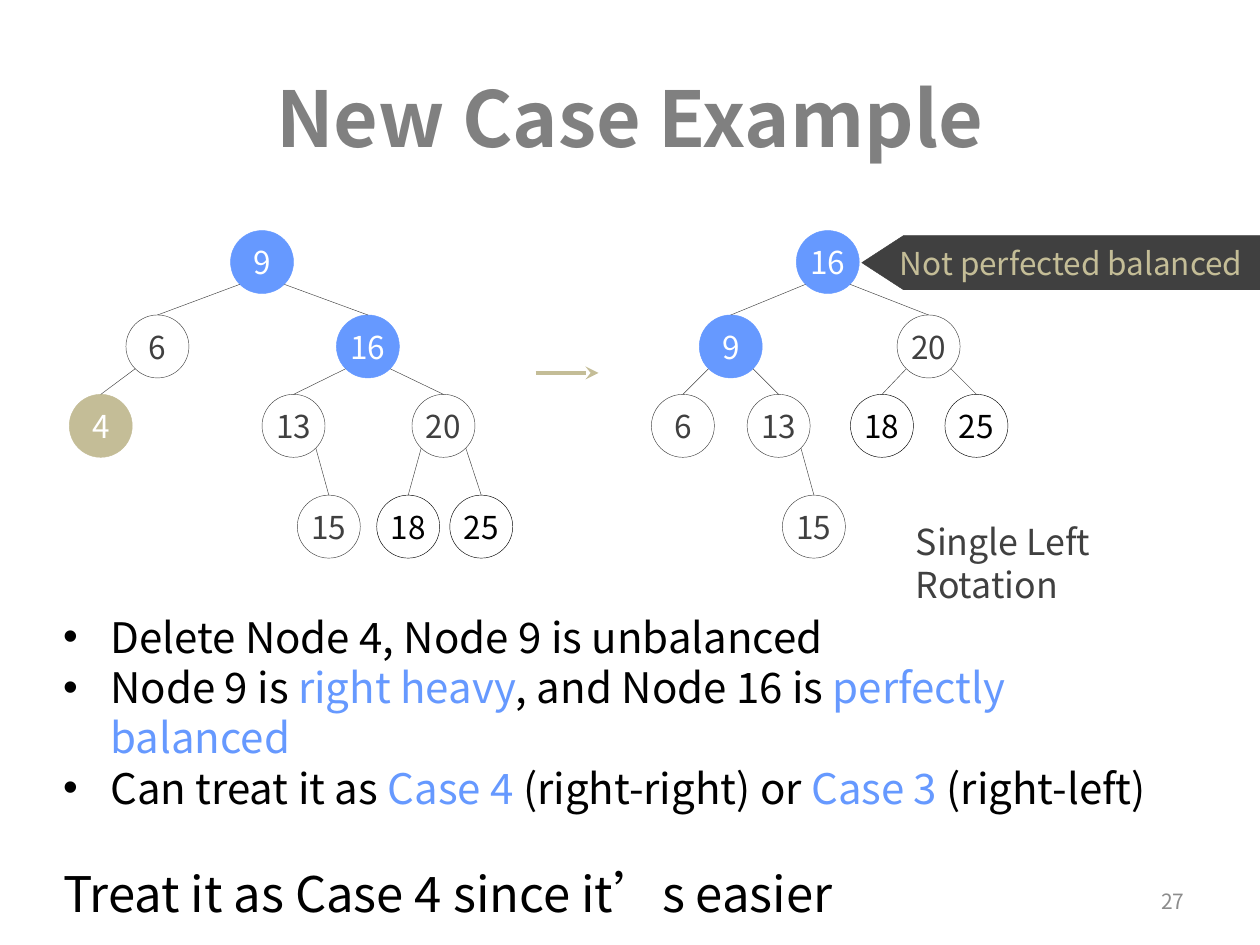
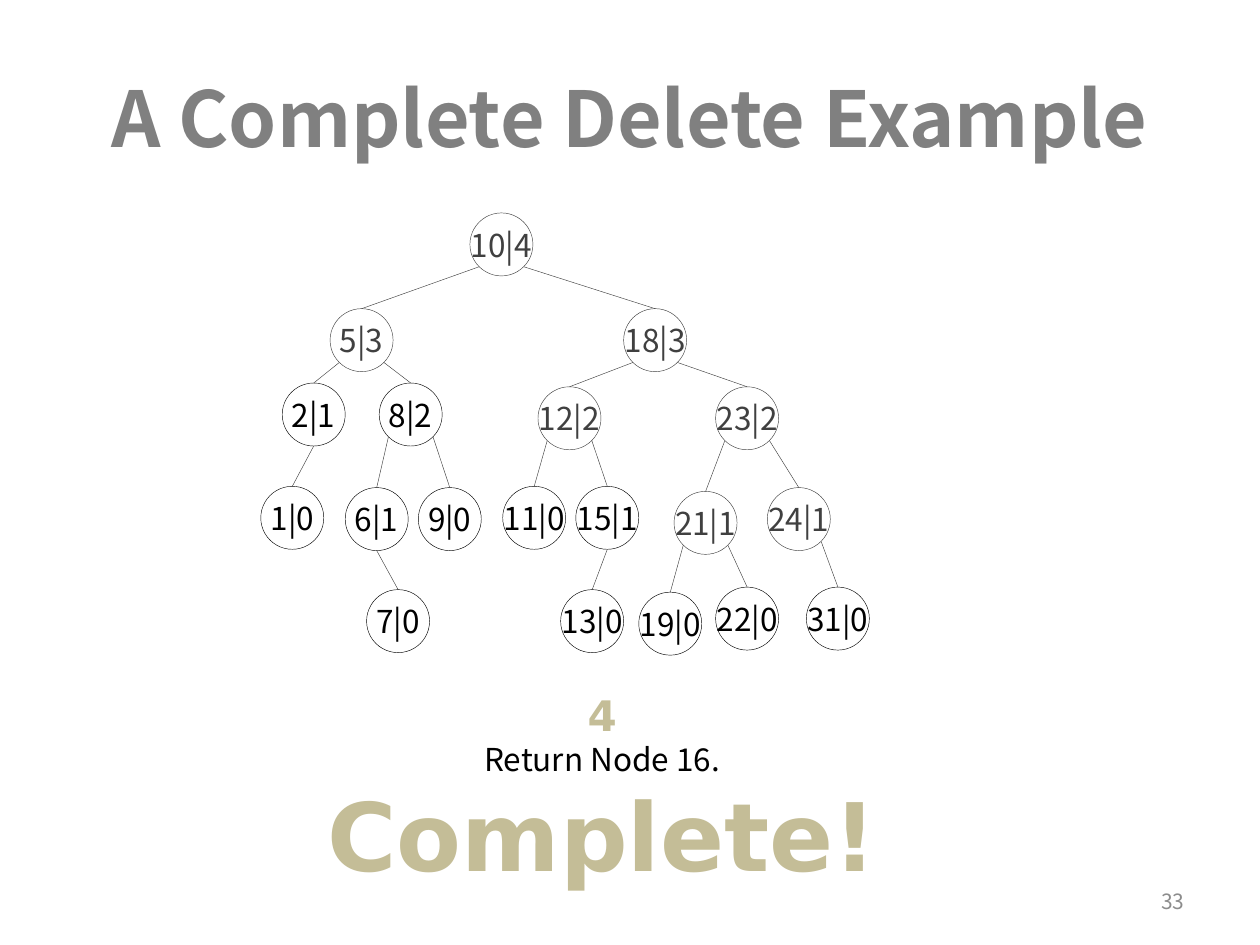
from dataclasses import dataclass
from lxml.etree import SubElement
from pptx import Presentation
from pptx.dml.color import RGBColor
from pptx.enum.shapes import MSO_CONNECTOR, MSO_SHAPE
from pptx.enum.text import MSO_ANCHOR, MSO_AUTO_SIZE, PP_ALIGN
from pptx.oxml.ns import qn
from pptx.util import Inches, Pt


@dataclass(frozen=True)
class Theme:
    font: str = "Noto Sans CJK SC"
    accent_font: str = "DejaVu Sans"
    black: str = "000000"
    dark: str = "404040"
    grey: str = "808080"
    pale: str = "8C8C8C"
    white: str = "FFFFFF"
    blue: str = "6699FF"
    sand: str = "C4BD97"
    title: float = 44
    shout: float = 54
    conclusion: float = 28
    body: float = 24
    caption: float = 20.4
    node: float = 18
    footer: float = 12
    hairline: float = 0.25


THEME = Theme()

# Node styles: fill, line and text colour
STYLES = {
    "plain": (None, THEME.dark, THEME.dark),
    "leaf": (None, THEME.black, THEME.black),
    "pivot": (THEME.blue, THEME.blue, THEME.white),
    "deleted": (THEME.sand, THEME.sand, THEME.white),
}

# Where an edge leaves its parent, as fractions of the node size
NODE_SIZE = 0.5
EXITS = {"left": (0.146, 0.854), "right": (0.854, 0.854), "bottom": (0.5, 1)}

# Trees: label, left, top, style, parent label, exit from the parent
BEFORE = [
    ("9", 1.83, 1.83, "pivot", None, None),
    ("6", 1, 2.5, "plain", "9", "left"),
    ("16", 2.67, 2.5, "pivot", "9", "right"),
    ("4", 0.55, 3.13, "deleted", "6", "left"),
    ("13", 2.08, 3.13, "plain", "16", "left"),
    ("20", 3.27, 3.13, "plain", "16", "right"),
    ("15", 2.36, 3.93, "plain", "13", "right"),
    ("18", 2.99, 3.93, "leaf", "20", "left"),
    ("25", 3.57, 3.93, "leaf", "20", "right"),
]
AFTER = [
    ("16", 6.32, 1.83, "pivot", None, None),
    ("9", 5.55, 2.5, "pivot", "16", "left"),
    ("20", 7.12, 2.5, "plain", "16", "right"),
    ("6", 5.17, 3.13, "plain", "9", "left"),
    ("13", 5.93, 3.13, "plain", "9", "right"),
    ("18", 6.75, 3.13, "leaf", "20", "left"),
    ("25", 7.5, 3.13, "leaf", "20", "right"),
    ("15", 6.21, 3.93, "plain", "13", "right"),
]
COMPLETE = [
    ("10|4", 3.73, 1.69, "plain", None, None),
    ("5|3", 2.62, 2.45, "plain", "10|4", "left"),
    ("18|3", 4.95, 2.45, "plain", "10|4", "right"),
    ("2|1", 2.24, 3.04, "leaf", "5|3", "left"),
    ("8|2", 3.01, 3.04, "leaf", "5|3", "right"),
    ("12|2", 4.27, 3.07, "plain", "18|3", "left"),
    ("23|2", 5.68, 3.07, "plain", "18|3", "right"),
    ("1|0", 2.07, 3.86, "leaf", "2|1", "bottom"),
    ("6|1", 2.74, 3.87, "leaf", "8|2", "left"),
    ("9|0", 3.32, 3.87, "leaf", "8|2", "right"),
    ("11|0", 3.99, 3.86, "leaf", "12|2", "left"),
    ("15|1", 4.57, 3.86, "leaf", "12|2", "right"),
    ("21|1", 5.35, 3.9, "plain", "23|2", "left"),
    ("24|1", 6.09, 3.87, "plain", "23|2", "right"),
    ("7|0", 2.91, 4.68, "leaf", "6|1", "bottom"),
    ("13|0", 4.45, 4.68, "leaf", "15|1", "bottom"),
    ("19|0", 5.07, 4.7, "leaf", "21|1", "left"),
    ("22|0", 5.68, 4.66, "leaf", "21|1", "right"),
    ("31|0", 6.4, 4.66, "leaf", "24|1", "right"),
]

# Text: each paragraph is a list of (words, colour) spans
BULLETS = [
    [("Delete Node 4, Node 9 is unbalanced", THEME.black)],
    [("Node 9 is ", THEME.black), ("right heavy", THEME.blue),
     (", and Node 16 is ", THEME.black), ("perfectly balanced", THEME.blue)],
    [("Can treat it as ", THEME.black), ("Case 4 ", THEME.blue),
     ("(right-right) or ", THEME.black), ("Case 3 ", THEME.blue),
     ("(right-left)", THEME.black)],
]
CONCLUSION = "Treat it as Case 4 since it’s easier"


def rgb(colour):
    return RGBColor.from_string(colour)


def add_text(para, text, size=THEME.body, colour=THEME.black,
             font=THEME.font, bold=False, align=None):
    """Append one formatted span to a paragraph."""
    span = para.add_run()
    span.text = text
    span.font.name, span.font.size, span.font.bold = font, Pt(size), bold
    span.font.color.rgb = rgb(colour)
    if align is not None:
        para.alignment = align


def place(shape, left, top, width, height):
    shape.left, shape.top = Inches(left), Inches(top)
    shape.width, shape.height = Inches(width), Inches(height)


def add_box(page, left, top, width, height, anchor=MSO_ANCHOR.TOP):
    box = page.shapes.add_textbox(*map(Inches, (left, top, width, height)))
    box.text_frame.word_wrap = True
    box.text_frame.vertical_anchor = anchor
    return box.text_frame


def add_label_shape(page, kind, area, text, fill, line, colour):
    """Draw a flat preset shape with a centred, unwrapped label."""
    shape = page.shapes.add_shape(kind, *map(Inches, area))
    shape.shadow.inherit = False
    if fill:
        shape.fill.solid()
        shape.fill.fore_color.rgb = rgb(fill)
    else:
        shape.fill.background()
    shape.line.color.rgb = rgb(line)
    shape.line.width = Pt(THEME.hairline)
    frame = shape.text_frame
    frame.margin_left = frame.margin_right = 0
    frame.margin_top = frame.margin_bottom = 0
    frame.word_wrap = False
    frame.vertical_anchor = MSO_ANCHOR.MIDDLE
    add_text(frame.paragraphs[0], text, size=THEME.node, colour=colour,
             align=PP_ALIGN.CENTER)
    return shape


def add_line(page, start, end, colour=THEME.dark, width=THEME.hairline):
    line = page.shapes.add_connector(
        MSO_CONNECTOR.STRAIGHT, *map(Inches, (*start, *end)))
    line.line.color.rgb = rgb(colour)
    line.line.width = Pt(width)
    SubElement(line._element.spPr, qn("a:effectLst"))
    return line


def add_tree(page, tree):
    places = {label: (left, top) for label, left, top, *_ in tree}
    for label, left, top, style, parent, side in tree:
        area = (left, top, NODE_SIZE, NODE_SIZE)
        node = add_label_shape(page, MSO_SHAPE.OVAL, area, label, *STYLES[style])
        if parent:
            exit_point = [corner + share * NODE_SIZE for corner, share
                          in zip(places[parent], EXITS[side])]
            edge = add_line(page, (left + NODE_SIZE / 2, top), exit_point)
            edge.begin_connect(node, 0)


def add_page(deck, layout, title, number):
    """Start a slide with the shared title and page number."""
    page = deck.slides.add_slide(deck.slide_layouts[layout])
    place(page.shapes.title, 0.5, 0.3, 9, 1.25)
    frame = page.shapes.title.text_frame
    frame.auto_size = MSO_AUTO_SIZE.NONE
    frame.vertical_anchor = MSO_ANCHOR.MIDDLE
    add_text(frame.paragraphs[0], title, size=THEME.title, colour=THEME.grey,
             bold=True, align=PP_ALIGN.CENTER)
    footer = add_box(page, 7.17, 6.95, 2.33, 0.4, MSO_ANCHOR.MIDDLE)
    add_text(footer.paragraphs[0], number, size=THEME.footer,
             colour=THEME.pale, align=PP_ALIGN.RIGHT)
    return page


def add_bullets(page):
    body = page.placeholders[1]
    place(body, 0.4, 4.8, 9.07, 2.19)
    frame = body.text_frame
    frame.auto_size = MSO_AUTO_SIZE.NONE
    for index, spans in enumerate(BULLETS):
        para = frame.add_paragraph() if index else frame.paragraphs[0]
        para.space_before = Pt(0)
        for text, colour in spans:
            add_text(para, text, colour=colour)
    # The conclusion stands apart, without a bullet
    para = frame.add_paragraph()
    para.space_before = Pt(29)
    properties = para._p.get_or_add_pPr()
    properties.set("marL", "0")
    properties.set("indent", "0")
    SubElement(properties, qn("a:buNone"))
    add_text(para, CONCLUSION, size=THEME.conclusion)


def build_rotation_page(deck):
    page = add_page(deck, 1, "New Case Example", "27")
    add_bullets(page)
    add_tree(page, BEFORE)
    add_tree(page, AFTER)
    # Arrow between the two trees
    arrow = add_line(page, (4.25, 2.96), (4.75, 2.96), THEME.sand, 2.5)
    SubElement(arrow.line._get_or_add_ln(), qn("a:tailEnd"), type="stealth")
    # Caption and the flag that points at the root
    caption = add_box(page, 7.17, 4.08, 2.74, 0.68).paragraphs[0]
    add_text(caption, "Single Left Rotation", size=THEME.caption, colour=THEME.dark)
    flag = add_label_shape(page, MSO_SHAPE.PENTAGON, (6.84, 1.87, 3.16, 0.43),
                           "Not perfected balanced", THEME.dark, THEME.dark,
                           THEME.sand)
    flag.adjustments[0] = 0.77
    flag._element.spPr.xfrm.set("flipH", "1")


def build_complete_page(deck):
    page = add_page(deck, 5, "A Complete Delete Example", "33")
    add_tree(page, COMPLETE)
    # Closing remark
    frame = add_box(page, 2.08, 5.42, 5.4, 1.72)
    accent = dict(colour=THEME.sand, font=THEME.accent_font, bold=True,
                  align=PP_ALIGN.CENTER)
    add_text(frame.paragraphs[0], "4", **accent)
    para = frame.add_paragraph()
    add_text(para, "Return Node 16. ", size=THEME.node)
    add_text(para, "Complete!", size=THEME.shout, **accent)


def main():
    deck = Presentation()
    deck.slide_width, deck.slide_height = Inches(10), Inches(7.5)
    build_rotation_page(deck)
    build_complete_page(deck)
    deck.save("out.pptx")


if __name__ == "__main__":
    main()
